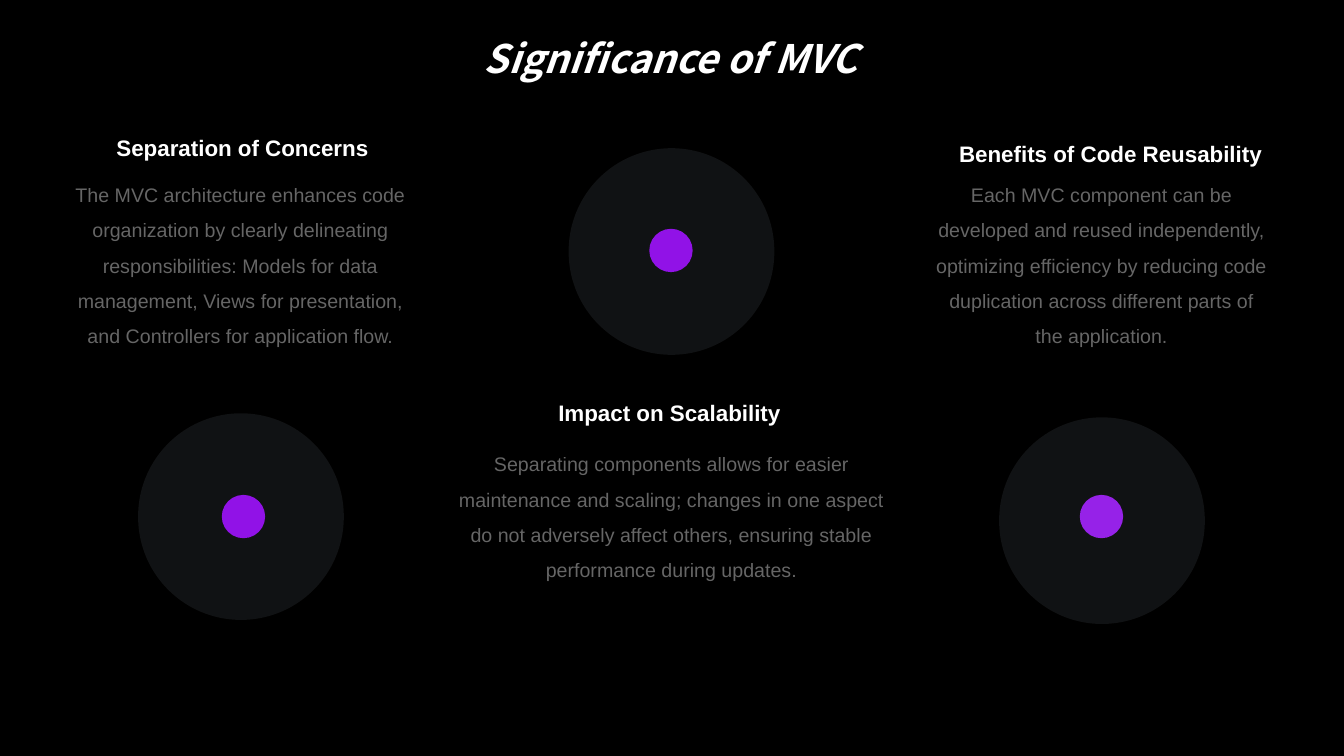
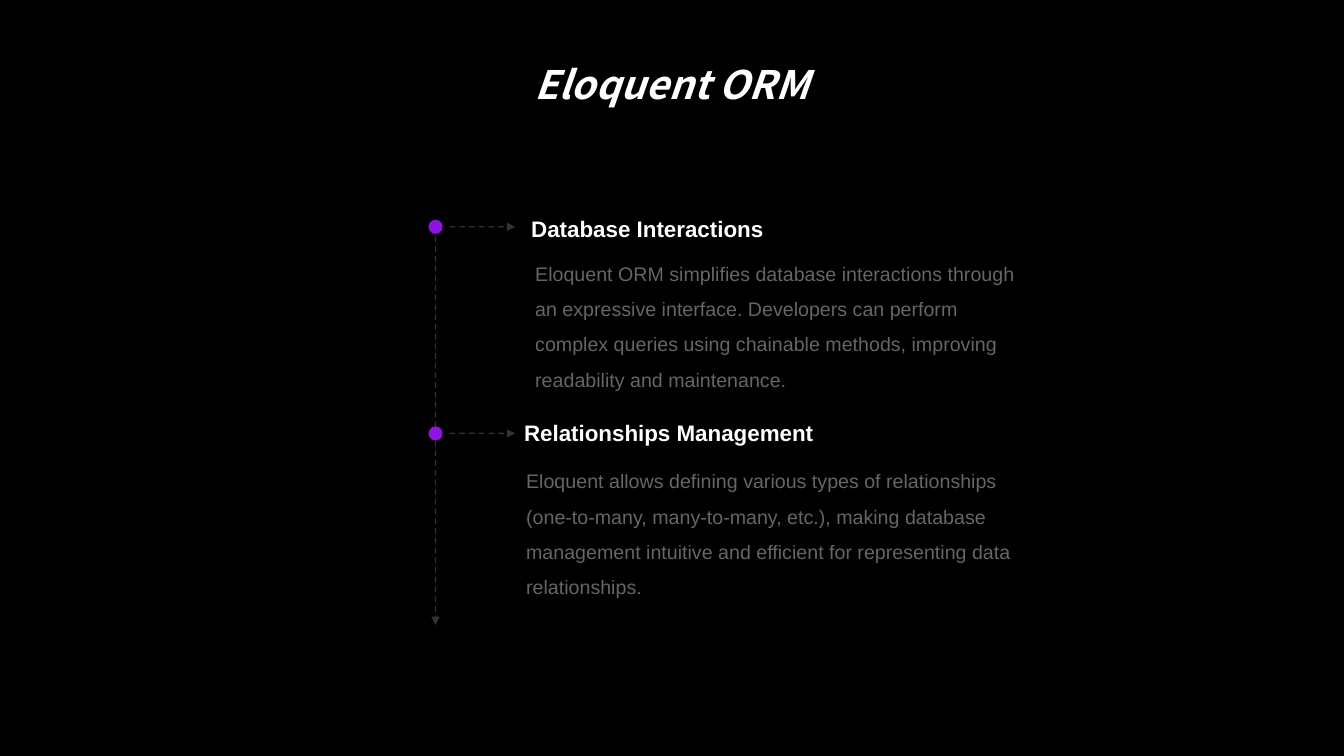
import pptx
import pptx.util
import pptx.dml.color
import pptx.enum.dml
import pptx.enum.shapes
import pptx.enum.text
import pptx.oxml.ns
import pptx.oxml.xmlchemy

Inches = pptx.util.Inches
OxmlElement = pptx.oxml.xmlchemy.OxmlElement
SHAPE = pptx.enum.shapes.MSO_SHAPE
ALIGN = pptx.enum.text.PP_ALIGN
ANCHOR = pptx.enum.text.MSO_ANCHOR

BLACK, WHITE, PURPLE, ICE = "000000", "FFFFFF", "9112E7", "D7E6FF"
TITLE_FONT, BODY_FONT = "Noto Sans CJK SC", "Arial"

# heading, (left, top, width, height), body, (left, top, width, height)
MVC_TOPICS = [
    ("Impact on Scalability", (4.4, 3.91, 4.48, 0.37),
     "Separating components allows for easier maintenance and scaling; changes in one "
     "aspect do not adversely affect others, ensuring stable performance during updates.",
     (4.42, 4.32, 4.48, 1.47)),
    ("Separation of Concerns", (0.57, 1.28, 3.67, 0.37),
     "The MVC architecture enhances code organization by clearly delineating "
     "responsibilities: Models for data management, Views for presentation, and "
     "Controllers for application flow.",
     (0.55, 1.65, 3.67, 1.88)),
    ("Benefits of Code Reusability", (9.26, 1.34, 3.51, 0.37),
     "Each MVC component can be developed and reused independently, optimizing "
     "efficiency by reducing code duplication across different parts of the application.",
     (9.17, 1.65, 3.51, 1.88)),
]
ORM_TOPICS = [
    ("Database Interactions", (5.17, 2.08, 2.72, 0.37),
     "Eloquent ORM simplifies database interactions through an expressive interface. "
     "Developers can perform complex queries using chainable methods, improving "
     "readability and maintenance.",
     (5.21, 2.43, 5.09, 1.47)),
    ("Relationships Management", (5.1, 4.11, 3.13, 0.37),
     "Eloquent allows defining various types of relationships (one-to-many, "
     "many-to-many, etc.), making database management intuitive and efficient for "
     "representing data relationships.",
     (5.12, 4.49, 5.09, 1.47)),
]

DISC, DOT = (2.04, 2.05), (0.43, 0.43)
# left, top, size, colour, opacity %, from back to front
DISCS = [
    (5.64, 1.47, DISC, ICE, 8), (6.44, 2.27, DOT, PURPLE, 100),
    (1.37, 4.1, DISC, ICE, 8), (2.2, 4.91, DOT, PURPLE, 100),
    (10.71, 4.91, DOT, PURPLE, 100), (9.91, 4.14, DISC, ICE, 8),
]

AXIS_X, AXIS_END = 4.32, 6.2
STOPS = [2.25, 4.3]
STOP_SIZE = 0.14
BRANCH = (4.46, 5.11)


def rgb(color):
    return pptx.dml.color.RGBColor.from_string(color)


def set_opacity(element, percent):
    """Make every colour inside the element partly transparent."""
    for clr in element.iter(pptx.oxml.ns.qn("a:srgbClr")):
        alpha = OxmlElement("a:alpha")
        alpha.set("val", str(percent * 1000))
        clr.append(alpha)


def format_run(r, size, color=WHITE, font=BODY_FONT, bold=False, italic=False):
    r.font.size, r.font.name = pptx.util.Pt(size), font
    r.font.bold, r.font.italic = bold, italic
    r.font.color.rgb = rgb(color)


def add_slide(prs, title, box):
    s = prs.slides.add_slide(prs.slide_layouts[5])
    sp = s.shapes.title
    sp.left, sp.top, sp.width, sp.height = map(Inches, box)
    tf = sp.text_frame
    tf.text = title
    tf.auto_size = pptx.enum.text.MSO_AUTO_SIZE.NONE
    tf.vertical_anchor = ANCHOR.BOTTOM
    p = tf.paragraphs[0]
    p.alignment, p.line_spacing = ALIGN.CENTER, 0.9
    format_run(p.runs[0], 28, font=TITLE_FONT, bold=True, italic=True)
    return s


def add_text(s, text, box, align, anchor=ANCHOR.TOP):
    tf = s.shapes.add_textbox(*map(Inches, box)).text_frame
    tf.word_wrap = True
    tf.auto_size = pptx.enum.text.MSO_AUTO_SIZE.SHAPE_TO_FIT_TEXT
    tf.vertical_anchor = anchor
    tf.text = text
    p = tf.paragraphs[0]
    p.alignment = align
    return p


def add_topics(s, topics, align, heading_anchor):
    for heading, heading_box, body, body_box in topics:
        p = add_text(s, heading, heading_box, align, heading_anchor)
        format_run(p.runs[0], 16, bold=True)
        p = add_text(s, body, body_box, align)
        p.line_spacing = 1.5
        format_run(p.runs[0], 14)
        set_opacity(p.runs[0]._r, 40)


def add_circle(shapes, kind, left, top, size, color, opacity=100):
    sp = shapes.add_shape(kind, *map(Inches, (left, top, *size)))
    if kind == SHAPE.ROUNDED_RECTANGLE:
        sp.adjustments[0] = 0.5
    sp.shadow.inherit = False
    sp.fill.solid()
    sp.fill.fore_color.rgb = rgb(color)
    sp.line.fill.background()
    if opacity < 100:
        set_opacity(sp._element.spPr, opacity)


def add_arrow(shapes, x1, y1, x2, y2):
    cx = shapes.add_connector(pptx.enum.shapes.MSO_CONNECTOR.STRAIGHT,
                              *map(Inches, (x1, y1, x2, y2)))
    cx.line.width = pptx.util.Pt(1)
    cx.line.color.rgb = rgb(WHITE)
    cx.line.dash_style = pptx.enum.dml.MSO_LINE.DASH
    spPr = cx._element.spPr
    set_opacity(spPr, 20)
    tail = OxmlElement("a:tailEnd")
    tail.set("type", "triangle")
    spPr.get_or_add_ln().append(tail)
    spPr.append(OxmlElement("a:effectLst"))


def build_mvc(prs):
    s = add_slide(prs, "Significance of MVC", (0.71, 0.33, 11.88, 0.53))
    for disc in DISCS:
        add_circle(s.shapes, SHAPE.ROUNDED_RECTANGLE, *disc)
    add_topics(s, MVC_TOPICS, ALIGN.CENTER, ANCHOR.TOP)


def build_orm(prs):
    s = add_slide(prs, "Eloquent ORM", (0.72, 0, 11.88, 1.12))
    axis = s.shapes.add_group_shape().shapes
    add_arrow(axis, AXIS_X, STOPS[0], AXIS_X, AXIS_END)
    for y in STOPS:
        add_circle(axis, SHAPE.OVAL, AXIS_X - STOP_SIZE / 2, y - STOP_SIZE / 2,
                   (STOP_SIZE, STOP_SIZE), PURPLE)
        add_arrow(s.shapes, BRANCH[0], y, BRANCH[1], y)
    add_topics(s, ORM_TOPICS, ALIGN.LEFT, ANCHOR.MIDDLE)


def main():
    prs = pptx.Presentation()
    prs.slide_width, prs.slide_height = Inches(13.33), Inches(7.5)
    fill = prs.slide_master.background.fill
    fill.solid()
    fill.fore_color.rgb = rgb(BLACK)
    build_mvc(prs)
    build_orm(prs)
    prs.save("out.pptx")


if __name__ == "__main__":
    main()
